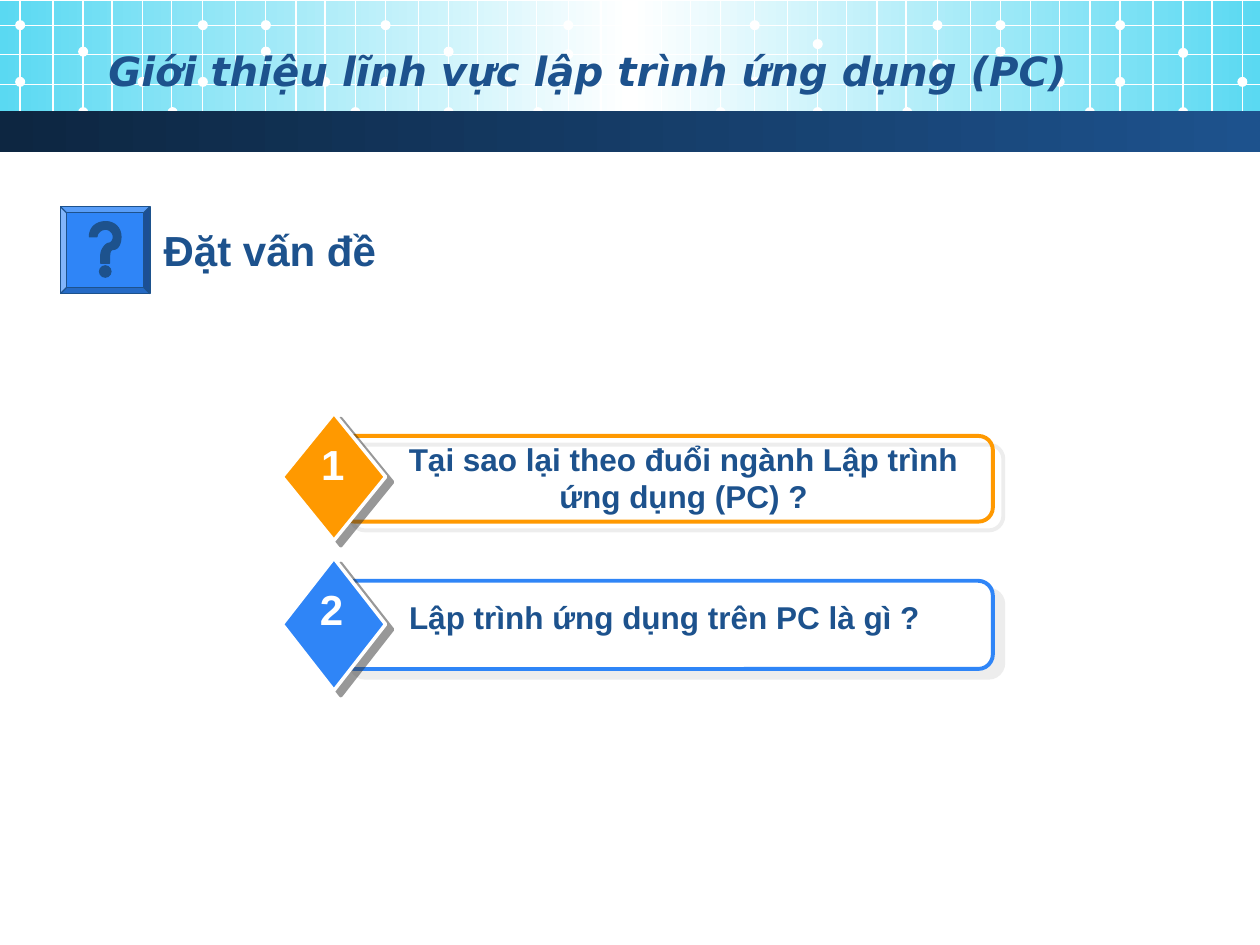
from dataclasses import dataclass
from typing import Any, Optional

from lxml import etree
from pptx import Presentation
from pptx.dml.color import RGBColor
from pptx.enum import shapes, text
from pptx.oxml import ns
from pptx.util import Inches, Pt


@dataclass(frozen=True)
class Theme:
    navy: str = "1D528D"
    deep: str = "0D2641"
    aqua: str = "5AD9F2"
    blue: str = "2F85F7"
    orange: str = "FF9900"
    white: str = "FFFFFF"
    pale_shadow: str = "DDDDDD"
    dark_shadow: str = "333333"
    body_font: str = "Arial"
    title_font: str = "DejaVu Sans"
    title_size: int = 23
    heading_size: int = 24
    item_size: int = 18


@dataclass(frozen=True)
class Area:
    left: float
    top: float
    width: float
    height: float

    def emu(self) -> tuple:
        return tuple(Inches(n) for n in (self.left, self.top, self.width, self.height))


@dataclass(frozen=True)
class GridBlock:
    left: float
    upper_dot: float
    middle_dot: float


@dataclass(frozen=True)
class Item:
    number: str
    label: str
    color: str
    fill: Optional[str]
    frame: Area
    diamond: Area
    label_area: Area
    number_area: Area


THEME = Theme()
KIND = shapes.MSO_SHAPE
SLIDE_WIDTH = 10
GRID_BOTTOM = 1.1
DOT = 0.08
COLUMN_OFFSETS = (0, 0.26, 0.5, 0.73, 0.97, 1.2, 1.45, 1.71, 1.95, 2.19, 2.42, 2.66)
ROW_TOPS = (0.2, 0.43, 0.67, 0.89)
BLOCKS = (
    GridBlock(0.16, 0.37, 0.61),
    GridBlock(3.06, 0.37, 0.39),
    GridBlock(5.99, 0.31, 0.47),
    GridBlock(8.89, 0.38, 0.61),
)
HOOK_START = (0.87, 2.09)
HOOK = (
    ((0.87, 2.03),),
    ((0.87, 2), (0.88, 1.98), (0.9, 1.98)),
    ((0.94, 1.98), (0.96, 1.93), (0.96, 1.88)),
    ((0.96, 1.81), (0.91, 1.76), (0.84, 1.76)),
    ((0.76, 1.76), (0.71, 1.81), (0.71, 1.88)),
    ((0.77, 1.88),),
    ((0.77, 1.85), (0.8, 1.82), (0.84, 1.82)),
    ((0.87, 1.82), (0.9, 1.85), (0.9, 1.88)),
    ((0.9, 1.91), (0.88, 1.93), (0.87, 1.93)),
    ((0.84, 1.93), (0.8, 1.98), (0.8, 2.03)),
    ((0.8, 2.09),),
)
ITEMS = (
    Item("2", "Lập trình ứng dụng trên PC là gì ?", THEME.blue, THEME.white,
         Area(2.7, 4.61, 5.18, 0.7), Area(2.24, 4.43, 0.82, 1.05),
         Area(3.06, 4.7, 4.43, 0.7), Area(2.44, 4.58, 0.38, 0.5)),
    Item("1", "Tại sao lại theo đuổi ngành Lập trình ứng dụng (PC) ?", THEME.orange, None,
         Area(2.7, 3.46, 5.18, 0.68), Area(2.24, 3.28, 0.82, 1.01),
         Area(2.97, 3.44, 4.91, 1), Area(2.45, 3.43, 0.38, 0.5)),
)


def paint(shape: Any, fill: Optional[str], line: Optional[str] = None, width: float = 0.75) -> None:
    shape.shadow.inherit = False
    for target, color in ((shape.fill, fill), (shape.line.fill, line)):
        if color is None:
            target.background()
        else:
            target.solid()
            target.fore_color.rgb = RGBColor.from_string(color)
    if line:
        shape.line.width = Pt(width)


def add_color(parent: Any, color: str) -> Any:
    node = etree.SubElement(parent, ns.qn("a:srgbClr"))
    node.set("val", color)
    return node


def add_shadow(shape: Any, color: str, distance: float, angle: int) -> None:
    effects = shape.element.spPr.find(ns.qn("a:effectLst"))
    shadow = etree.SubElement(effects, ns.qn("a:outerShdw"))
    values = {"blurRad": 0, "dist": Pt(distance), "dir": angle * 60000, "algn": "ctr", "rotWithShape": 0}
    for name, value in values.items():
        shadow.set(name, str(value))
    alpha = etree.SubElement(add_color(shadow, color), ns.qn("a:alpha"))
    alpha.set("val", "50000")


def add_band(page: Any, area: Area, colors: tuple) -> None:
    band = page.shapes.add_shape(KIND.RECTANGLE, *area.emu())
    paint(band, None)
    properties = band.element.spPr
    properties.remove(properties.find(ns.qn("a:noFill")))
    gradient = etree.Element(ns.qn("a:gradFill"))
    stops = etree.SubElement(gradient, ns.qn("a:gsLst"))
    for index, color in enumerate(colors):
        stop = etree.SubElement(stops, ns.qn("a:gs"))
        stop.set("pos", str(index * 100000 // (len(colors) - 1)))
        add_color(stop, color)
    etree.SubElement(gradient, ns.qn("a:lin")).set("ang", "0")
    properties.find(ns.qn("a:prstGeom")).addnext(gradient)


def add_line(group: Any, *ends: float) -> None:
    line = group.shapes.add_connector(shapes.MSO_CONNECTOR.STRAIGHT, *(Inches(n) for n in ends))
    line.line.color.rgb = RGBColor.from_string(THEME.white)
    line.line.width = Pt(0.75)
    etree.SubElement(line.element.spPr, ns.qn("a:effectLst"))


def add_grid(page: Any) -> None:
    group = page.shapes.add_group_shape()
    for block in BLOCKS:
        for offset in COLUMN_OFFSETS:
            if block.left + offset < SLIDE_WIDTH:
                add_line(group, block.left + offset, 0, block.left + offset, GRID_BOTTOM)
        dots = ((0, 0.61), (0, 0.16), (0.5, block.upper_dot), (0.5, 0.85), (0.97, 0.61), (1.21, 0.85),
                (1.45, block.middle_dot), (1.45, 0.16), (1.95, 0.37), (1.95, 0.16), (2.42, 0.61), (2.66, 0.85))
        for offset, top in dots:
            left = block.left + offset - DOT / 2
            if left < SLIDE_WIDTH:
                paint(group.shapes.add_shape(KIND.OVAL, *Area(left, top, DOT, DOT).emu()), THEME.white)
    for top in ROW_TOPS:
        add_line(group, 0, top, SLIDE_WIDTH, top)


def write(frame: Any, words: str, size: int, color: str, align: Any, name: str = THEME.body_font,
          italic: bool = False) -> None:
    para = frame.paragraphs[0]
    para.alignment = align
    span = para.add_run()
    span.text = words
    formats = {"size": Pt(size), "name": name, "bold": True, "italic": italic}
    for key, value in formats.items():
        setattr(span.font, key, value)
    span.font.color.rgb = RGBColor.from_string(color)


def add_label(parent: Any, area: Area, words: str, size: int, color: str, align: Any, wrap: bool) -> None:
    frame = parent.shapes.add_textbox(*area.emu()).text_frame
    frame.word_wrap = wrap
    frame.auto_size = text.MSO_AUTO_SIZE.SHAPE_TO_FIT_TEXT
    write(frame, words, size, color, align)


def add_item(page: Any, item: Item) -> None:
    group = page.shapes.add_group_shape()
    frame = group.shapes.add_shape(KIND.ROUNDED_RECTANGLE, *item.frame.emu())
    paint(frame, item.fill, item.color, 2.25)
    add_shadow(frame, THEME.pale_shadow, 7.8, 40)
    diamond = group.shapes.add_shape(KIND.DIAMOND, *item.diamond.emu())
    paint(diamond, item.color, THEME.white, 2)
    add_shadow(diamond, THEME.dark_shadow, 5, 37)
    center = text.PP_ALIGN.CENTER
    add_label(group, item.label_area, item.label, THEME.item_size, THEME.navy, center, True)
    add_label(group, item.number_area, item.number, THEME.heading_size, THEME.white, center, False)


def curve_points(start: tuple, curve: tuple, steps: int = 8) -> list:
    first, second, end = curve
    points = []
    for step in range(1, steps + 1):
        t = step / steps
        weights = ((1 - t) ** 3, 3 * t * (1 - t) ** 2, 3 * t * t * (1 - t), t ** 3)
        points.append(tuple(sum(w * p[axis] for w, p in zip(weights, (start, first, second, end)))
                            for axis in (0, 1)))
    return points


def add_question_button(page: Any) -> None:
    group = page.shapes.add_group_shape()
    button = group.shapes.add_shape(KIND.BEVEL, *Area(0.48, 1.64, 0.71, 0.69).emu())
    button.adjustments[0] = 0.07
    paint(button, THEME.blue, THEME.navy)
    points = [HOOK_START]
    for part in HOOK:
        points += curve_points(points[-1], part) if len(part) == 3 else part
    outline = [(Inches(x), Inches(y)) for x, y in points]
    builder = group.shapes.build_freeform(*outline[0])
    builder.add_line_segments(outline[1:], close=True)
    paint(builder.convert_to_shape(), THEME.navy, THEME.navy)
    dot = group.shapes.add_shape(KIND.OVAL, *Area(0.79, 2.11, 0.09, 0.09).emu())
    paint(dot, THEME.navy, THEME.navy)


def place_title(page: Any) -> None:
    title = page.shapes.title
    for name, value in zip(("left", "top", "width", "height"), Area(0.5, 0.25, 8.08, 0.62).emu()):
        setattr(title, name, value)
    formats = {"word_wrap": True, "auto_size": text.MSO_AUTO_SIZE.NONE, "vertical_anchor": text.MSO_ANCHOR.MIDDLE}
    for key, value in formats.items():
        setattr(title.text_frame, key, value)
    write(title.text_frame, "Giới thiệu lĩnh vực lập trình ứng dụng (PC)", THEME.title_size,
          THEME.navy, text.PP_ALIGN.RIGHT, THEME.title_font, True)
    title.element.getparent().append(title.element)


def main() -> None:
    deck = Presentation()
    deck.slide_width, deck.slide_height = Inches(SLIDE_WIDTH), Inches(7.5)
    page = deck.slides.add_slide(deck.slide_layouts[5])
    add_band(page, Area(0, 0.01, SLIDE_WIDTH, 1.02), (THEME.aqua, THEME.white, THEME.aqua))
    add_grid(page)
    add_band(page, Area(0, 0.88, SLIDE_WIDTH, 0.33), (THEME.deep, THEME.navy))
    place_title(page)
    add_question_button(page)
    for item in ITEMS:
        add_item(page, item)
    add_label(page, Area(1.2, 1.73, 1.95, 0.5), "Đặt vấn đề", THEME.heading_size,
              THEME.navy, text.PP_ALIGN.LEFT, True)
    deck.save("out.pptx")


if __name__ == "__main__":
    main()
